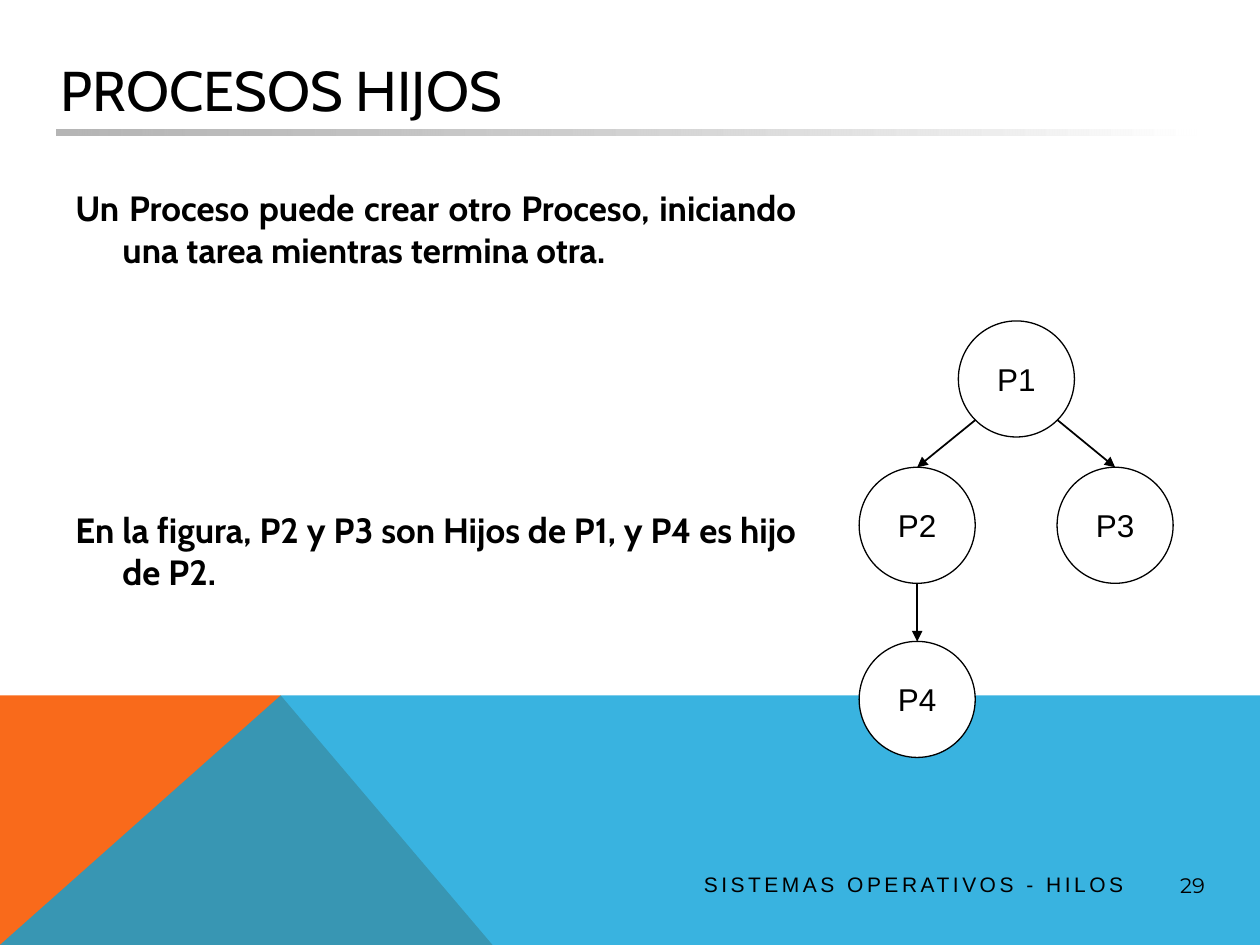
import math
import pptx
import pptx.util
import pptx.dml.color
import pptx.enum.shapes
import pptx.enum.text
import pptx.oxml
import pptx.oxml.ns

Cm, Pt = pptx.util.Cm, pptx.util.Pt
ALIGN = pptx.enum.text.PP_ALIGN
ANCHOR = pptx.enum.text.MSO_ANCHOR
SHAPE = pptx.enum.shapes.MSO_SHAPE

# Content (lengths in cm)
WIDTH, HEIGHT = 25.4, 19.05
TITLE = "PROCESOS HIJOS"
BODY = [  # text, space before in points
    ("Un Proceso puede crear otro Proceso, iniciando una tarea mientras termina otra.", 0),
    ("En la figura, P2 y P3 son Hijos de P1, y P4 es hijo de P2.", 136),
]
FOOTER = "SISTEMAS OPERATIVOS - HILOS"
PAGE_NUMBER = "29"
BAND_TOP, PEAK = 14.02, 5.66
BANDS = [  # outline, colour, opacity in percent
    ([(0, HEIGHT), (0, BAND_TOP), (PEAK, BAND_TOP), (9.93, HEIGHT)], "F96A1B", 100),
    ([(0, HEIGHT), (PEAK, BAND_TOP), (WIDTH, BAND_TOP), (WIDTH, HEIGHT)], "08A1D9", 80),
]
DIAMETER = 2.34
PROCESSES = {  # circle centres
    "P1": (20.49, 7.64),
    "P2": (18.49, 10.59),
    "P3": (22.48, 10.59),
    "P4": (18.49, 14.1),
}
CHILDREN = [("P1", "P2"), ("P1", "P3"), ("P2", "P4")]


def color(value):
    return pptx.dml.color.RGBColor.from_string(value)


def set_opacity(shape, percent):
    """Apply the opacity to the first colour of the shape's fill."""
    tag = pptx.oxml.ns.qn("a:srgbClr")
    first = next(shape.fill._xPr.iter(tag))
    alpha = first.makeelement(pptx.oxml.ns.qn("a:alpha"), {"val": str(percent * 1000)})
    first.append(alpha)


def style(para, font, size, align=ALIGN.LEFT, bold=False):
    para.alignment = align
    para.font.name = font
    para.font.size = Pt(size)
    para.font.bold = bold
    para.font.color.rgb = color("000000")


def add_text(page, text, place, font, size, align=ALIGN.LEFT, margin=None):
    box = page.shapes.add_textbox(*map(Cm, place))
    frame = box.text_frame
    frame.word_wrap = True
    frame.vertical_anchor = ANCHOR.MIDDLE
    if margin is not None:
        frame.margin_left = frame.margin_right = Cm(margin)
        frame.margin_top = frame.margin_bottom = Cm(margin)
    para = frame.paragraphs[0]
    para.text = text
    style(para, font, size, align)
    return para


def add_body(page):
    frame = page.shapes.add_textbox(Cm(1.27), Cm(3.63), Cm(15.04), Cm(13.54)).text_frame
    frame.word_wrap = True
    for index, (text, space) in enumerate(BODY):
        para = frame.add_paragraph() if index else frame.paragraphs[0]
        para.text = text
        properties = para._p.get_or_add_pPr()
        properties.set("marL", str(Cm(0.95)))
        properties.set("indent", str(-Cm(0.95)))
        if space:
            para.space_before = Pt(space)
        style(para, "Cabin", 20, ALIGN.JUSTIFY, bold=True)


def add_process(page, name, center):
    left, top = (Cm(value - DIAMETER / 2) for value in center)
    circle = page.shapes.add_shape(SHAPE.OVAL, left, top, Cm(DIAMETER), Cm(DIAMETER))
    circle.shadow.inherit = False
    circle.fill.solid()
    circle.fill.fore_color.rgb = color("FFFFFF")
    circle.line.color.rgb = color("000000")
    circle.line.width = Pt(0.75)
    frame = circle.text_frame
    frame.word_wrap = False
    frame.vertical_anchor = ANCHOR.MIDDLE
    frame.text = name
    style(frame.paragraphs[0], "Arial", 18, ALIGN.CENTER)


def add_arrow(page, parent, child):
    (x1, y1), (x2, y2) = PROCESSES[parent], PROCESSES[child]
    radius = DIAMETER / 2
    # Leave the parent straight down or at 45 degrees, enter the child at its top
    side = (x2 > x1) - (x2 < x1)
    reach = radius * math.sqrt(0.5) if side else radius
    ends = (x1 + side * reach, y1 + reach, x2, y2 - radius)
    arrow = page.shapes.add_connector(
        pptx.enum.shapes.MSO_CONNECTOR.STRAIGHT, *map(Cm, ends))
    arrow.line.color.rgb = color("000000")
    arrow.line.width = Pt(1)
    line = arrow.line._get_or_add_ln()
    line.append(line.makeelement(pptx.oxml.ns.qn("a:tailEnd"), {"type": "triangle"}))
    properties = arrow._element.spPr
    properties.append(properties.makeelement(pptx.oxml.ns.qn("a:effectLst"), {}))


def main():
    deck = pptx.Presentation()
    deck.slide_width, deck.slide_height = Cm(WIDTH), Cm(HEIGHT)
    page = deck.slides.add_slide(deck.slide_layouts[6])

    # Coloured bands at the foot
    for outline, fill, opacity in BANDS:
        points = [(Cm(x), Cm(y)) for x, y in outline]
        builder = page.shapes.build_freeform(*points[0])
        builder.add_line_segments(points[1:], close=True)
        band = builder.convert_to_shape()
        band.shadow.inherit = False
        band.fill.solid()
        band.fill.fore_color.rgb = color(fill)
        set_opacity(band, opacity)
        band.line.fill.background()

    # Fading rule under the title
    rule = page.shapes.add_shape(SHAPE.RECTANGLE, Cm(1.14), Cm(2.61), Cm(22.99), Cm(0.13))
    rule.shadow.inherit = False
    rule.line.fill.background()
    rule.fill.gradient()
    rule.fill.gradient_angle = 0
    for stop, value in zip(rule.fill.gradient_stops, ("969696", "FFFFFF")):
        stop.color.rgb = color(value)
    set_opacity(rule, 70)

    # Title, body, footer and page number
    add_text(page, TITLE, (0.97, 1.27, 23.5, 1.04), "Cabin", 32)
    add_body(page)
    footer = add_text(page, FOOTER, (9.78, 17.45, 13.13, 0.76), "Arial", 12, ALIGN.RIGHT)
    footer.runs[0].font._element.set("spc", "200")
    add_text(page, PAGE_NUMBER, (23.34, 17.15, 1.4, 1.4), "Montserrat", 12,
             ALIGN.CENTER, margin=0.03)

    # Process tree
    for name, center in PROCESSES.items():
        add_process(page, name, center)
    for parent, child in CHILDREN:
        add_arrow(page, parent, child)

    deck.save("out.pptx")


if __name__ == "__main__":
    main()
